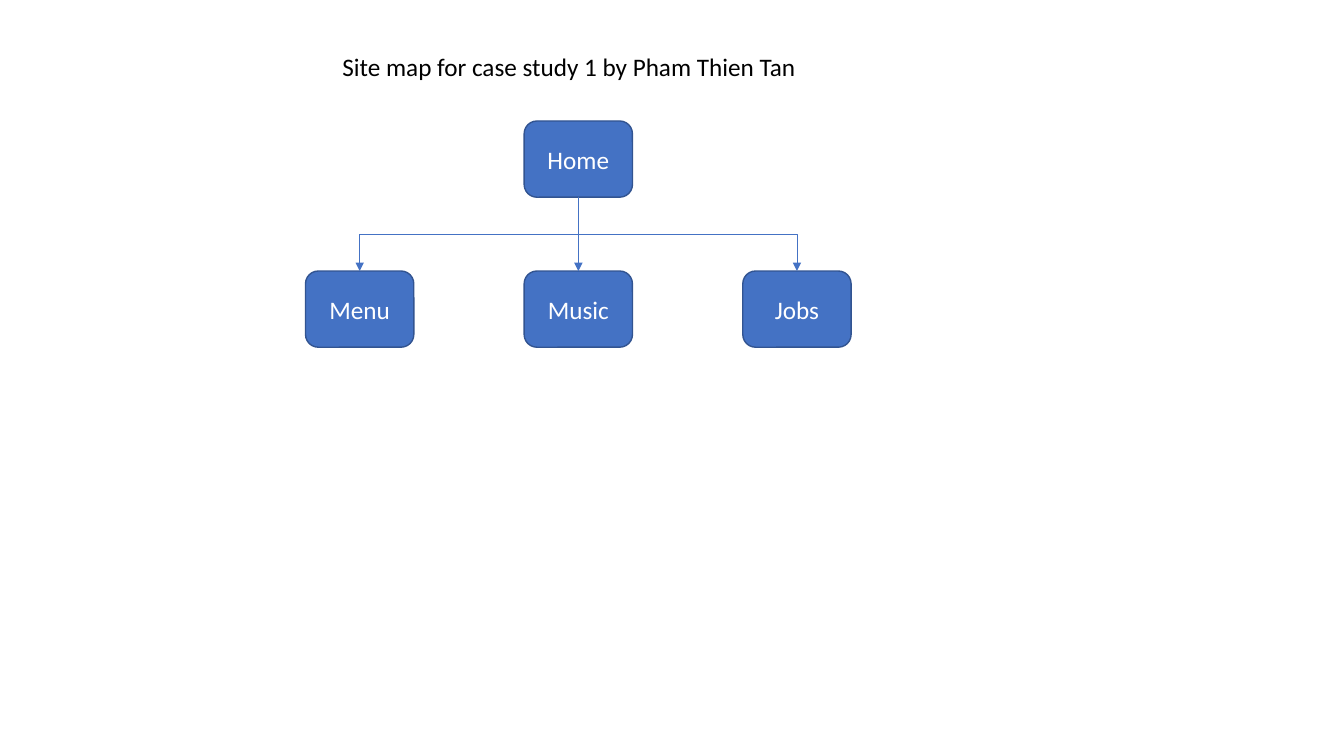
from lxml import etree
from pptx import Presentation
from pptx.dml.color import RGBColor
from pptx.enum.shapes import MSO_CONNECTOR, MSO_SHAPE
from pptx.enum.text import MSO_ANCHOR, MSO_AUTO_SIZE, PP_ALIGN
from pptx.oxml.ns import qn
from pptx.util import Cm, Pt

ROUNDED = MSO_SHAPE.ROUNDED_RECTANGLE
STRAIGHT, ELBOW = MSO_CONNECTOR.STRAIGHT, MSO_CONNECTOR.ELBOW
MIDDLE, CENTER, LEFT = MSO_ANCHOR.MIDDLE, PP_ALIGN.CENTER, PP_ALIGN.LEFT
FIT_SHAPE = MSO_AUTO_SIZE.SHAPE_TO_FIT_TEXT

COLORS = {"page": "4472C4", "outline": "325491", "label": "FFFFFF", "title": "000000"}
FONT = {"name": "Calibri", "size": Pt(18)}
PAGE_WIDTH, PAGE_HEIGHT = Cm(2.73), Cm(1.92)
FIRST_LEFT, COLUMN_STEP = Cm(7.7), Cm(5.51)
HOME_TOP, SUBPAGE_TOP = Cm(3.05), Cm(6.83)
SUBPAGES = ["Menu", "Music", "Jobs"]
HOME_COLUMN = 1
BOTTOM_SITE, TOP_SITE = 2, 0


def color(part):
    """Return the colour of a part of the site map."""
    return RGBColor.from_string(COLORS[part])


def set_format(target, values):
    """Set each format value on the target."""
    for attribute, value in values.items():
        setattr(target, attribute, value)


def write_text(frame, text, part, alignment):
    """Write one line of text in the colour of the given part."""
    paragraph = frame.paragraphs[0]
    paragraph.alignment = alignment
    run = paragraph.add_run()
    run.text = text
    set_format(run.font, FONT)
    run.font.color.rgb = color(part)


def add_title(slide, text):
    """Add the heading above the site map."""
    title = slide.shapes.add_textbox(Cm(8.38), Cm(1.17), Cm(16.74), Cm(1.02))
    set_format(title.text_frame, {"word_wrap": True, "auto_size": FIT_SHAPE})
    write_text(title.text_frame, text, "title", LEFT)


def add_page(slide, name, column, top):
    """Add a rounded box for one page of the site."""
    left = FIRST_LEFT + column * COLUMN_STEP
    page = slide.shapes.add_shape(ROUNDED, left, top, PAGE_WIDTH, PAGE_HEIGHT)
    page.shadow.inherit = False
    page.fill.solid()
    page.fill.fore_color.rgb = color("page")
    page.line.color.rgb = color("outline")
    page.line.width = Pt(1)
    set_format(page.text_frame, {"word_wrap": True, "vertical_anchor": MIDDLE})
    write_text(page.text_frame, name, "label", CENTER)
    return page


def turn_elbow(link, home, subpage):
    """Turn an elbow by a quarter so that it leaves home downwards."""
    start_y = home.top + home.height
    drop = subpage.top - start_y
    span = abs(subpage.left - home.left)
    side = 1 if subpage.left > home.left else -1
    middle_x = (home.left + subpage.left + PAGE_WIDTH) // 2
    middle_y = start_y + drop // 2
    set_format(link, {
        "begin_x": middle_x + side * drop // 2,
        "begin_y": middle_y - span // 2,
        "end_x": middle_x - side * drop // 2,
        "end_y": middle_y + span // 2,
    })
    quarter_turn = 270 if side > 0 else 90
    link._element.spPr.find(qn("a:xfrm")).set("rot", str(quarter_turn * 60000))


def add_link(slide, home, subpage):
    """Add an arrow from the home page down to a subpage."""
    is_below = home.left == subpage.left
    link = slide.shapes.add_connector(STRAIGHT if is_below else ELBOW, 0, 0, 0, 0)
    link.begin_connect(home, BOTTOM_SITE)
    link.end_connect(subpage, TOP_SITE)
    if not is_below:
        turn_elbow(link, home, subpage)
    link.line.color.rgb = color("page")
    link.line.width = Pt(0.5)
    properties = link._element.spPr
    arrowhead = etree.SubElement(properties.find(qn("a:ln")), qn("a:tailEnd"))
    arrowhead.set("type", "triangle")
    etree.SubElement(properties, qn("a:effectLst"))


def main():
    """Build the site map slide."""
    deck = Presentation()
    set_format(deck, {"slide_width": Cm(33.87), "slide_height": Cm(19.05)})
    slide = deck.slides.add_slide(deck.slide_layouts[6])
    home = add_page(slide, "Home", HOME_COLUMN, HOME_TOP)
    subpages = [add_page(slide, name, column, SUBPAGE_TOP)
                for column, name in enumerate(SUBPAGES)]
    for subpage in subpages:
        add_link(slide, home, subpage)
    add_title(slide, "Site map for case study 1 by Pham Thien Tan")
    deck.save("out.pptx")


main()
